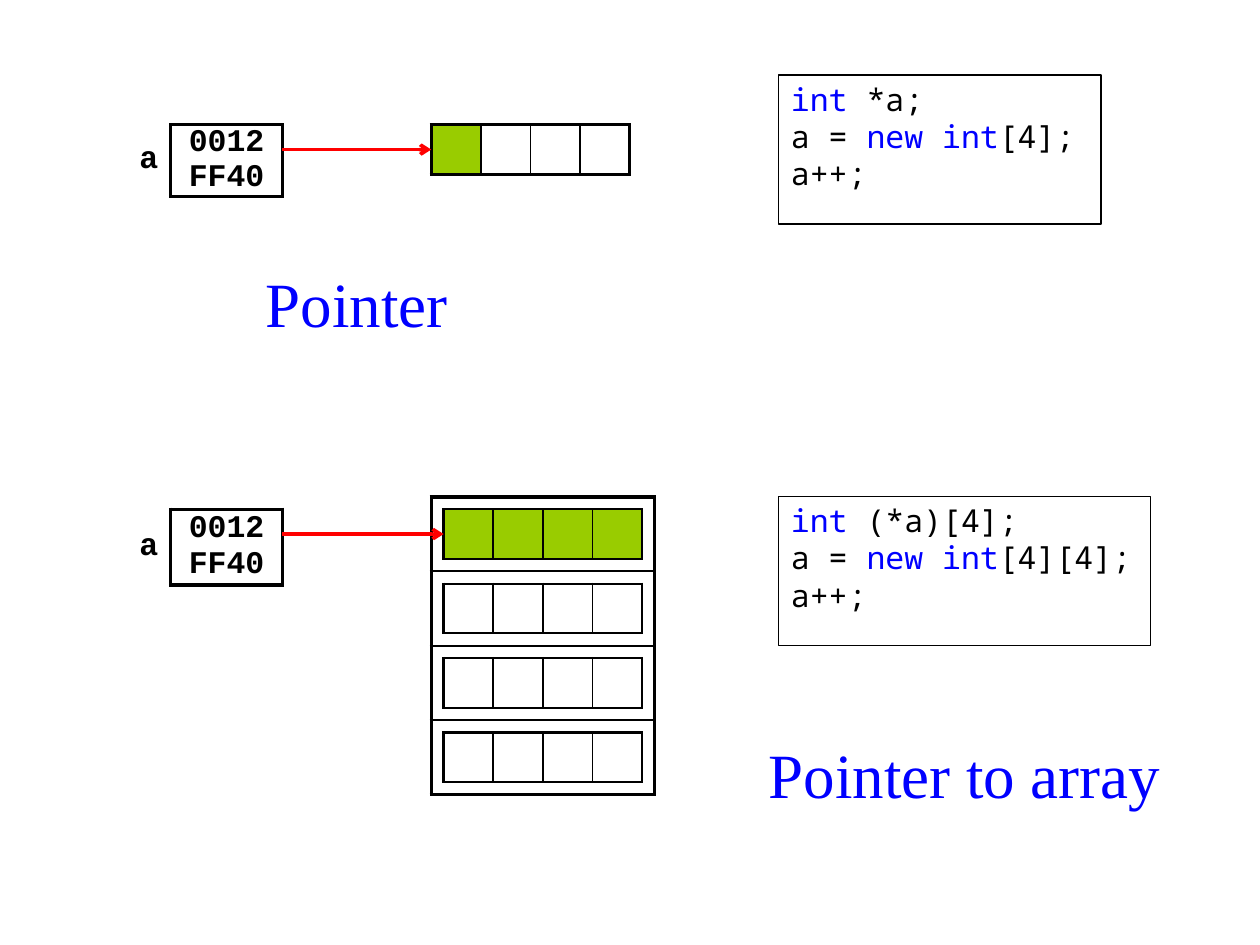
from dataclasses import dataclass

from lxml import etree
from pptx import Presentation
from pptx.dml.color import RGBColor
from pptx.enum.shapes import MSO_CONNECTOR, MSO_SHAPE
from pptx.enum.text import MSO_ANCHOR, PP_ALIGN
from pptx.oxml.ns import qn
from pptx.util import Pt

LEFT, MID, RIGHT = PP_ALIGN.LEFT, PP_ALIGN.CENTER, PP_ALIGN.RIGHT
TOP, MIDDLE = MSO_ANCHOR.TOP, MSO_ANCHOR.MIDDLE
RECT, LINE = MSO_SHAPE.RECTANGLE, MSO_CONNECTOR.STRAIGHT
UNIT, LEFT_EDGE, TOP_EDGE = 28.35, 33.8, 71.3


@dataclass(frozen=True)
class Theme:
    ink: str = "000000"
    key: str = "0000FF"
    red: str = "FF0000"
    green: str = "99CC00"
    mono: str = "Courier New"
    code: str = "Noto Sans Mono"
    serif: str = "Times New Roman"
    small: int = 18
    large: int = 36
    thick: float = 2.25
    mid: float = 1.5
    thin: float = 1


def rgb(tint):
    return RGBColor.from_string(tint)


def place(x, y):
    return Pt(LEFT_EDGE + x * UNIT), Pt(TOP_EDGE + y * UNIT)


def span(*sizes):
    return [Pt(size * UNIT) for size in sizes]


def write(frame, text, font, size, tint, key=None, bold=False, align=LEFT, line=None, gap=0):
    """Write lines of text, giving the pieces between bars the key colour."""
    for i, row in enumerate(text.split("\n")):
        para = frame.add_paragraph() if i else frame.paragraphs[0]
        para.alignment = align
        if line:
            para.line_spacing = line
        if i:
            para.space_before = Pt(gap)
        for j, piece in enumerate(row.split("|")):
            if piece:
                run = para.add_run()
                run.text = piece
                run.font.name, run.font.size, run.font.bold = font, Pt(size), bold
                run.font.color.rgb = rgb(key if j % 2 else tint)


def border(cell, tint, **sides):
    props = cell._tc.get_or_add_tcPr()
    for i, side in enumerate("LRTB"):
        width = sides.get(side, 0)
        edge = etree.Element(qn("a:ln" + side), w=str(int(Pt(width))))
        if width:
            solid = etree.SubElement(edge, qn("a:solidFill"))
            etree.SubElement(solid, qn("a:srgbClr"), val=tint)
        else:
            etree.SubElement(edge, qn("a:noFill"))
        props.insert(i, edge)


class Page:
    def __init__(self, slide, theme):
        self.shapes, self.theme = slide.shapes, theme

    def table(self, x, y, cols, rows):
        frame = self.shapes.add_table(len(rows), len(cols), *place(x, y),
                                      *span(sum(cols), sum(rows)))
        table = frame.table
        table.first_row = table.horz_banding = False
        for part, size in zip([*table.columns, *table.rows], span(*cols, *rows)):
            if part in list(table.columns):
                part.width = size
            else:
                part.height = size
        for cell in table.iter_cells():
            cell.fill.background()
            cell.vertical_anchor = MIDDLE
            cell.margin_top = cell.margin_bottom = 0
        return table

    def grid(self, x, y, cols, rows, outer, inner, full=0):
        """Draw a ruled grid with its first cells filled."""
        table = self.table(x, y, cols, rows)
        wide, high = len(cols), len(rows)
        for i, cell in enumerate(table.iter_cells()):
            row, col = divmod(i, wide)
            if i < full:
                cell.fill.solid()
                cell.fill.fore_color.rgb = rgb(self.theme.green)
            border(cell, self.theme.ink,
                   L=inner if col else outer, R=inner if col < wide - 1 else outer,
                   T=inner if row else outer, B=inner if row < high - 1 else outer)

    def pointer(self, x, y, name, value):
        look = self.theme
        label, box = self.table(x, y, [1, 3.5], [1]).iter_cells()
        for cell, text, align, inset in ((label, name, RIGHT, 7.2), (box, value, MID, 5.6)):
            cell.margin_left = cell.margin_right = Pt(inset)
            write(cell.text_frame, text, look.mono, look.small, look.ink, bold=True, align=align)
        border(label, look.ink, R=look.thick)
        border(box, look.ink, **dict.fromkeys("LRTB", look.thick))

    def arrow(self, x, y, end):
        link = self.shapes.add_connector(LINE, *place(x, y), *place(end, y))
        link.line.color.rgb = rgb(self.theme.red)
        link.line.width = Pt(2)
        etree.SubElement(link.line._get_or_add_ln(), qn("a:tailEnd"), type="arrow")
        etree.SubElement(link._element.spPr, qn("a:effectLst"))

    def code(self, x, y, wide, text):
        look = self.theme
        box = self.shapes.add_shape(RECT, *place(x, y), *span(wide, 3))
        box.shadow.inherit = False
        box.fill.background()
        box.line.color.rgb = rgb(look.ink)
        box.line.width = Pt(0.75)
        frame = box.text_frame
        frame.word_wrap, frame.vertical_anchor = True, TOP
        frame.margin_top = Pt(5)
        write(frame, text, look.code, look.small, look.ink, look.key, line=0.9, gap=1.8)

    def head(self, x, y, wide, text):
        look = self.theme
        frame = self.shapes.add_textbox(*place(x, y), *span(wide, 2)).text_frame
        frame.word_wrap = True
        frame.margin_top = Pt(9)
        write(frame, text, look.serif, look.large, look.key, align=MID)


def main():
    deck = Presentation()
    deck.slide_width, deck.slide_height = Pt(720), Pt(540)
    look = Theme()
    page = Page(deck.slides.add_slide(deck.slide_layouts[6]), look)

    page.pointer(0, 0, "a", "0012FF40")
    page.grid(7.5, 0, [1] * 4, [1], look.thick, look.thin, full=1)
    page.arrow(4.5, 0.5, 7.5)
    page.code(14.5, -1, 6.5, "|int| *a;\na = |new int|[4];\na++;")
    page.head(3.5, 2.5, 5, "Pointer")

    page.pointer(0, 7.75, "a", "0012FF40")
    page.grid(7.5, 7.5, [4.5], [1.5] * 4, look.thick, look.mid)
    for i in range(4):
        page.grid(7.75, 7.75 + 1.5 * i, [1] * 4, [1], look.mid, look.thin, full=0 if i else 4)
    page.arrow(4.5, 8.25, 7.75)
    page.code(14.5, 7.5, 7.5, "|int| (*a)[4];\na = |new int|[4][4];\na++;")
    page.head(14, 12, 8.5, "Pointer to array")

    deck.save("out.pptx")


if __name__ == "__main__":
    main()
